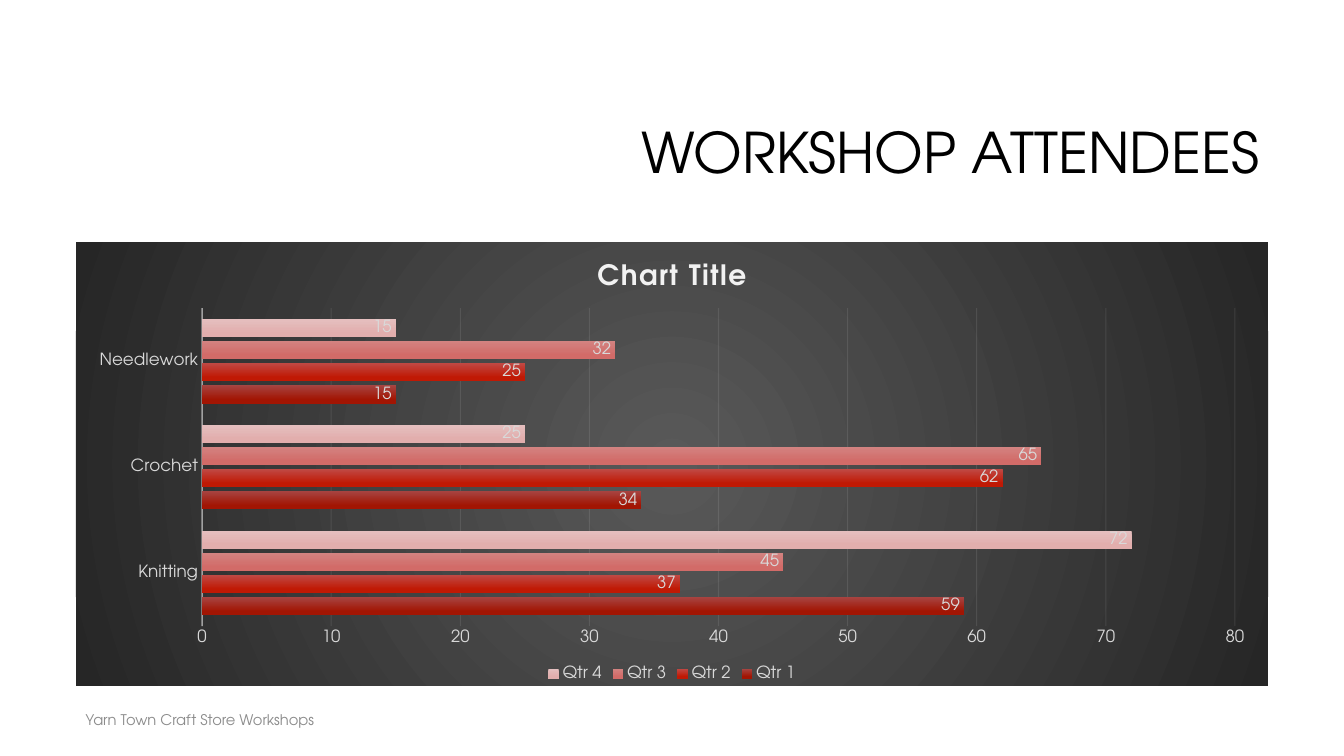
"""Build the workshop attendees slide with its clustered bar chart."""
from lxml import etree
from pptx import Presentation
from pptx.chart.data import CategoryChartData
from pptx.dml.color import RGBColor
from pptx.enum.chart import XL_CHART_TYPE as ChartType
from pptx.enum.chart import XL_LABEL_POSITION as LabelPosition
from pptx.enum.chart import XL_LEGEND_POSITION as LegendPosition
from pptx.enum.chart import XL_TICK_MARK as TickMark
from pptx.enum.text import MSO_ANCHOR as Anchor
from pptx.enum.text import PP_ALIGN as Align
from pptx.oxml import parse_xml
from pptx.oxml.ns import nsdecls, qn
from pptx.util import Cm, Pt

FONT = "TeX Gyre Adventor"
COLORS = {
    "title": "000000",
    "footer": "8C8C8C",
    "label": "D9D9D9",
    "light": "F2F2F2",
    "panel_center": "595959",
    "panel_edge": "262626",
}
WORKSHOPS = ["Knitting", "Crochet", "Needlework"]
QUARTERS = [
    ("Qtr 1", [59, 34, 15], "A74542", "A21503"),
    ("Qtr 2", [37, 62, 25], "C04945", "C01904"),
    ("Qtr 3", [45, 65, 32], "D38381", "D26B68"),
    ("Qtr 4", [72, 25, 15], "E5BFBF", "E2AEAD"),
]


def style_font(font, size, color, bold=False):
    """Set the face, size, colour and weight of a font."""
    font.name = FONT
    font.size = Pt(size)
    font.bold = bold
    font.color.rgb = RGBColor.from_string(COLORS[color])


def add_text(slide, text, left, top, width, height, size, color, align=Align.LEFT):
    """Add one vertically centred line of text, placed in centimetres."""
    frame = slide.shapes.add_textbox(Cm(left), Cm(top), Cm(width), Cm(height)).text_frame
    frame.word_wrap = True
    frame.vertical_anchor = Anchor.MIDDLE
    line = frame.paragraphs[0]
    line.alignment = align
    line.line_spacing = 0.9
    run = line.add_run()
    run.text = text
    style_font(run.font, size, color)


def style_axis(axis):
    """Give an axis its label font and no tick marks."""
    style_font(axis.tick_labels.font, 12, "label")
    axis.major_tick_mark = axis.minor_tick_mark = TickMark.NONE


def style_line(line, width, opacity):
    """Draw a light line and let the background show through it."""
    line.width = Pt(width)
    line.color.rgb = RGBColor.from_string(COLORS["light"])
    tint = line.color._xFill.find(qn("a:srgbClr"))
    etree.SubElement(tint, qn("a:alpha"), val=str(opacity * 1000))


def style_quarter(quarter, top_color, base_color):
    """Fill the bars of one quarter and label their values."""
    fill = quarter.format.fill
    fill.gradient()
    fill.gradient_angle = 270
    for stop, position, color in zip(fill.gradient_stops, (0, 0.78), (top_color, base_color)):
        stop.position = position
        stop.color.rgb = RGBColor.from_string(color)
    labels = quarter.data_labels
    labels.show_value = True
    labels.position = LabelPosition.INSIDE_END
    style_font(labels.font, 12, "label")


def fill_panel(chart):
    """Fill the chart area with a circular dark gradient."""
    panel = parse_xml(
        f'<c:spPr {nsdecls("c", "a")}><a:gradFill><a:gsLst>'
        f'<a:gs pos="0"><a:srgbClr val="{COLORS["panel_center"]}"/></a:gs>'
        f'<a:gs pos="100000"><a:srgbClr val="{COLORS["panel_edge"]}"/></a:gs>'
        '</a:gsLst><a:path path="circle">'
        '<a:fillToRect l="50000" t="50000" r="50000" b="50000"/>'
        '</a:path></a:gradFill><a:ln><a:noFill/></a:ln></c:spPr>'
    )
    chart.element.find(qn("c:chart")).addnext(panel)


def add_chart_title(chart, text):
    """Add a bold, slightly spaced chart title."""
    run = chart.chart_title.text_frame.paragraphs[0].add_run()
    run.text = text
    style_font(run.font, 20, "light", bold=True)
    run.font._element.set("spc", "100")


def add_attendee_chart(slide, left, top, width, height):
    """Add the bar chart of attendees by workshop and quarter."""
    attendees = CategoryChartData()
    attendees.categories = WORKSHOPS
    for name, counts, *_ in QUARTERS:
        attendees.add_series(name, counts)
    chart = slide.shapes.add_chart(
        ChartType.BAR_CLUSTERED, Cm(left), Cm(top), Cm(width), Cm(height), attendees
    ).chart
    style_font(chart.font, 10, "title")
    fill_panel(chart)
    add_chart_title(chart, "Chart Title")

    bars = chart.plots[0]
    bars.gap_width = 115
    bars.overlap = -20
    bars.vary_by_categories = False
    for quarter, (_, _, top_color, base_color) in zip(bars.series, QUARTERS):
        style_quarter(quarter, top_color, base_color)

    workshops, counts = chart.category_axis, chart.value_axis
    style_axis(workshops)
    style_axis(counts)
    style_line(workshops.format.line, 1, 54)
    style_line(counts.major_gridlines.format.line, 0.75, 10)
    counts.format.line.fill.background()
    counts.minimum_scale, counts.maximum_scale, counts.major_unit = 0, 80, 10

    chart.has_legend = True
    chart.legend.position = LegendPosition.BOTTOM
    chart.legend.include_in_layout = False
    style_font(chart.legend.font, 12, "label")


def main():
    """Build and save the slide."""
    deck = Presentation()
    deck.slide_width, deck.slide_height = Cm(33.87), Cm(19.05)
    slide = deck.slides.add_slide(deck.slide_layouts[6])
    add_text(slide, "WORKSHOP ATTENDEES", 8.05, 2.13, 23.93, 3.58, 40, "title", Align.RIGHT)
    add_attendee_chart(slide, 1.91, 6.1, 30.05, 11.18)
    add_text(slide, "Yarn Town Craft Store Workshops", 1.91, 17.65, 21.59, 1.02, 10.5, "footer")
    deck.save("out.pptx")


if __name__ == "__main__":
    main()
